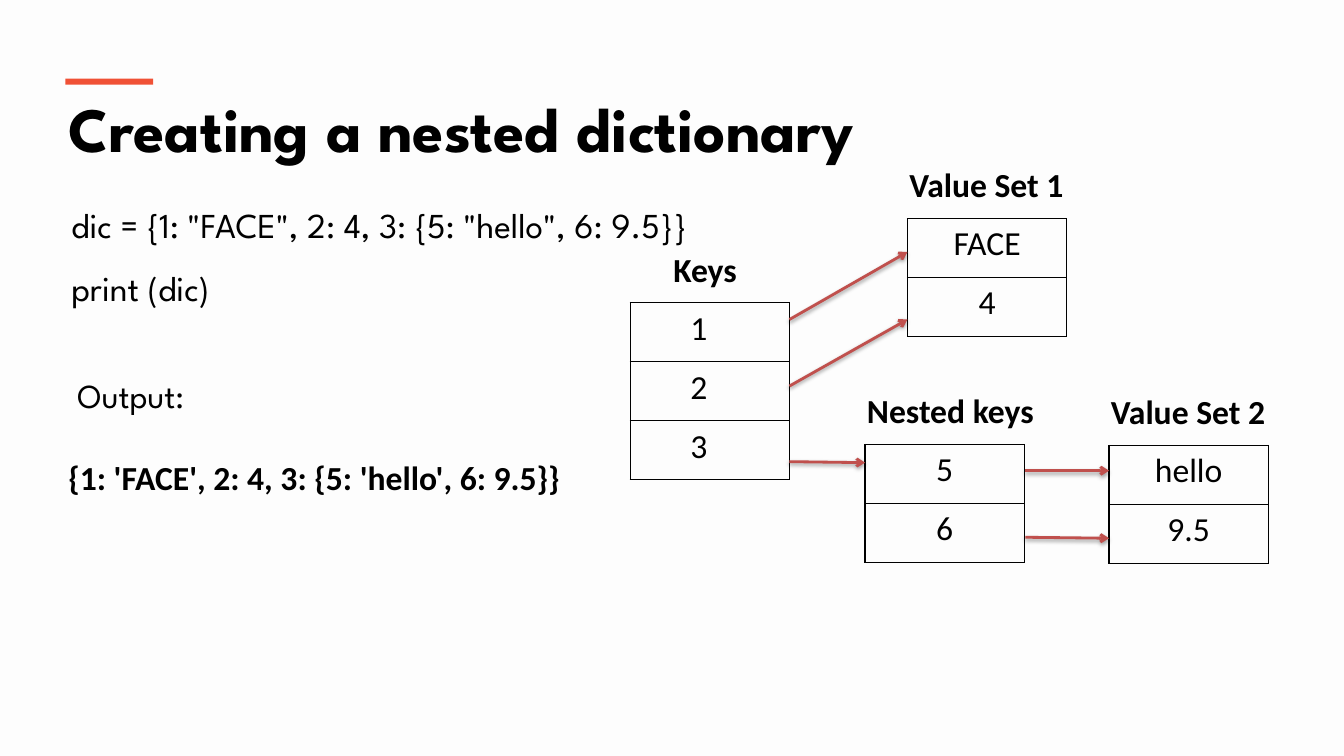
import pptx
import pptx.util
import pptx.dml.color
import pptx.enum.shapes
import pptx.enum.text
import pptx.oxml
import pptx.oxml.ns
from lxml import etree

Inches = pptx.util.Inches
Pt = pptx.util.Pt
RGBColor = pptx.dml.color.RGBColor
Align = pptx.enum.text.PP_ALIGN

BLACK = RGBColor(0x00, 0x00, 0x00)
BACKGROUND = RGBColor(0xFD, 0xFD, 0xFD)
ACCENT = RGBColor(0xF0, 0x51, 0x36)
ARROW = RGBColor(0xC0, 0x50, 0x4D)
HEADING_FONT = "League Spartan"
BODY_FONT = "Calibri"
CELL_WIDTH = 1.58
CELL_HEIGHT = 0.585
TEXT_HEIGHT = 0.5

NAMESPACE = pptx.oxml.ns.nsdecls("a")
SHADOW = (
    f'<a:effectLst {NAMESPACE}><a:outerShdw blurRad="39370" dist="20320" dir="5400000" '
    'rotWithShape="0"><a:srgbClr val="000000"><a:alpha val="38000"/></a:srgbClr>'
    '</a:outerShdw></a:effectLst>'
)


def write_text(frame, text, *, size=24, font=BODY_FONT, bold=False,
               align=Align.LEFT, spacing=None):
    """Fill a text frame, one paragraph for each line of the text."""
    for index, line in enumerate(text.split("\n")):
        para = frame.paragraphs[0] if index == 0 else frame.add_paragraph()
        para.alignment = align
        if spacing:
            para.line_spacing = spacing
        span = para.add_run()
        span.text = line
        span.font.size = Pt(size)
        span.font.name = font
        span.font.bold = bold
        span.font.color.rgb = BLACK


def add_text(page, text, left, top, width, height=TEXT_HEIGHT, wrap=False, **style):
    box = page.shapes.add_textbox(Inches(left), Inches(top), Inches(width), Inches(height))
    box.text_frame.word_wrap = wrap
    box.text_frame.auto_size = pptx.enum.text.MSO_AUTO_SIZE.SHAPE_TO_FIT_TEXT
    write_text(box.text_frame, text, **style)


def set_title(page, text):
    title = page.shapes.title
    title.left, title.top = Inches(0.58), Inches(0.84)
    title.width, title.height = Inches(12.18), Inches(0.86)
    frame = title.text_frame
    frame.word_wrap = True
    frame.vertical_anchor = pptx.enum.text.MSO_ANCHOR.TOP
    frame.auto_size = pptx.enum.text.MSO_AUTO_SIZE.SHAPE_TO_FIT_TEXT
    write_text(frame, text, size=45, font=HEADING_FONT, bold=True)


def add_bar(page, left, top, width, height):
    bar = page.shapes.add_shape(pptx.enum.shapes.MSO_SHAPE.RECTANGLE, Inches(left),
                                Inches(top), Inches(width), Inches(height))
    bar.shadow.inherit = False
    bar.fill.solid()
    bar.fill.fore_color.rgb = ACCENT
    bar.line.fill.background()


def outline_cell(cell):
    properties = cell._tc.get_or_add_tcPr()
    for side in ("lnL", "lnR", "lnT", "lnB"):
        properties.append(pptx.oxml.parse_xml(
            f'<a:{side} {NAMESPACE} w="12700"><a:solidFill><a:srgbClr val="{BLACK}"/>'
            f'</a:solidFill></a:{side}>'))
    cell.fill.background()


def add_column(page, values, left, top):
    """Add a one-column table of outlined cells; empty values stay blank."""
    table = page.shapes.add_table(len(values), 1, Inches(left), Inches(top),
                                  Inches(CELL_WIDTH),
                                  Inches(CELL_HEIGHT * len(values))).table
    table.first_row = False
    table.horz_banding = False
    for row, value in enumerate(values):
        table.rows[row].height = Inches(CELL_HEIGHT)
        cell = table.cell(row, 0)
        outline_cell(cell)
        if value:
            write_text(cell.text_frame, value, align=Align.CENTER)


def add_arrow(page, start, end):
    arrow = page.shapes.add_connector(pptx.enum.shapes.MSO_CONNECTOR.STRAIGHT,
                                      *map(Inches, start + end))
    arrow.line.color.rgb = ARROW
    arrow.line.width = Pt(2)
    etree.SubElement(arrow.line._get_or_add_ln(), pptx.oxml.ns.qn("a:tailEnd"), type="arrow")
    arrow._element.spPr.append(pptx.oxml.parse_xml(SHADOW))


def main():
    deck = pptx.Presentation()
    deck.slide_width, deck.slide_height = Inches(13.33), Inches(7.5)
    page = deck.slides.add_slide(deck.slide_layouts[5])
    page.background.fill.solid()
    page.background.fill.fore_color.rgb = BACKGROUND

    # Title and accent bar
    set_title(page, "Creating a nested dictionary")
    add_bar(page, 0.65, 0.78, 0.87, 0.06)

    # Code and its output
    add_text(page, 'dic = {1: "FACE", 2: 4, 3: {5: "hello", 6: 9.5}}\nprint (dic)',
             0.61, 1.76, 12.14, 1.31, wrap=True, size=25, font=HEADING_FONT, spacing=1.5)
    add_text(page, "Output:", 0.67, 3.67, 1.34, font=HEADING_FONT)
    add_text(page, "{1: 'FACE', 2: 4, 3: {5: 'hello', 6: 9.5}}", 0.58, 4.48, 5.13, bold=True)

    # Keys, whose numbers sit left of the column's middle
    add_column(page, [""] * 3, 6.25, 3)
    for row, key in enumerate("123"):
        add_text(page, key, 6.75, 3 + row * CELL_HEIGHT, 0.37)

    # Values and nested keys
    add_column(page, ["FACE", "4"], 9, 2.17)
    add_column(page, ["hello", "9.5"], 11, 4.42)
    add_column(page, ["5", "6"], 8.58, 4.41)

    # Column headings
    for heading, left, top, width in (
        ("Keys", 6.58, 2.42, 0.84),
        ("Value Set 1", 8.92, 1.58, 1.75),
        ("Value Set 2", 10.92, 3.83, 1.75),
        ("Nested keys", 8.5, 3.82, 1.87),
    ):
        add_text(page, heading, left, top, width, bold=True)

    # Arrows from keys to values
    for start, end in (
        ((7.83, 3.17), (9, 2.5)),
        ((7.83, 3.83), (9, 3.17)),
        ((7.83, 4.58), (8.58, 4.59)),
        ((10.17, 4.67), (11, 4.67)),
        ((10.17, 5.33), (11, 5.34)),
    ):
        add_arrow(page, start, end)

    deck.save("out.pptx")


if __name__ == "__main__":
    main()
